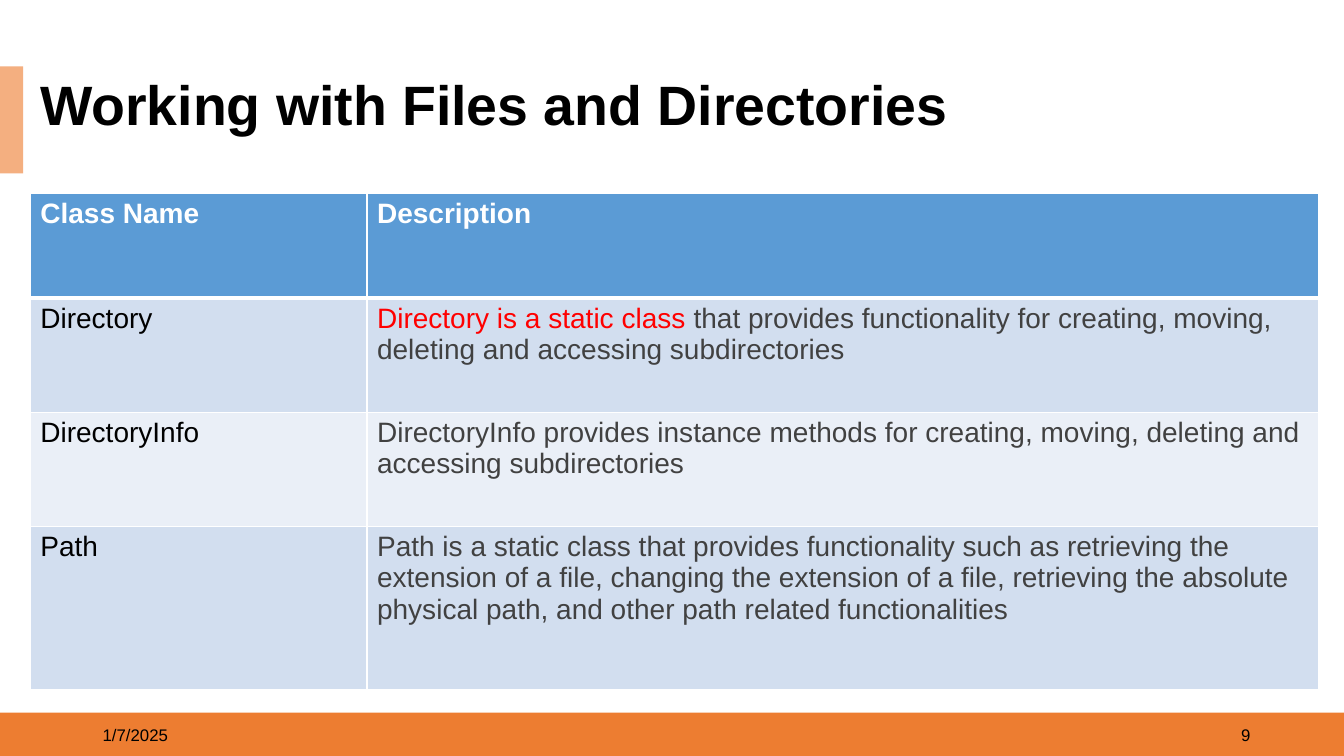
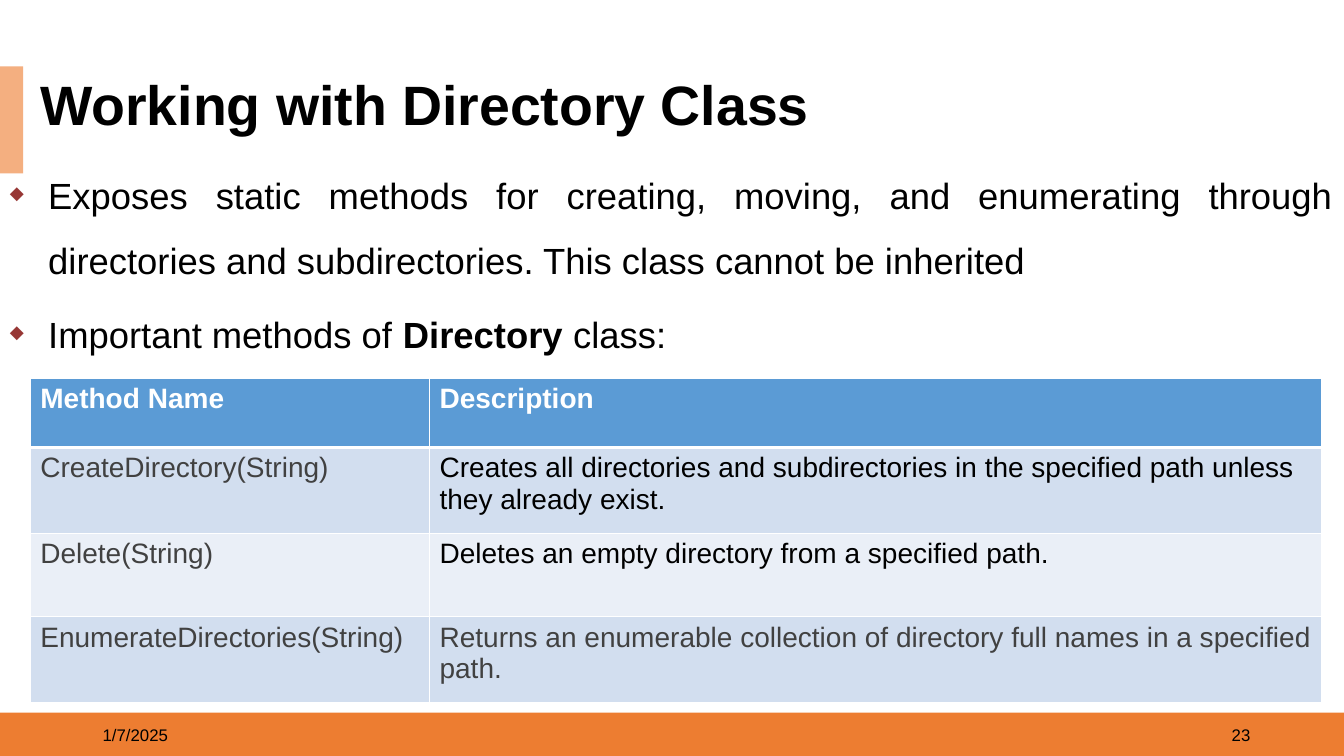
import pptx
import pptx.dml.color
import pptx.enum.shapes
import pptx.enum.text
import pptx.oxml
import pptx.oxml.ns
import pptx.util
from lxml import etree

Inches = pptx.util.Inches
Pt = pptx.util.Pt
Align = pptx.enum.text.PP_ALIGN
Anchor = pptx.enum.text.MSO_ANCHOR
AutoSize = pptx.enum.text.MSO_AUTO_SIZE

# Shared look
BLACK, WHITE, GREY, RED = "000000", "FFFFFF", "414141", "FF0000"
ORANGE, PEACH, MAROON = "ED7D31", "F4AF80", "973735"
HEADER_FILL, ROW_FILLS = "5B9BD5", ("D2DEEF", "EAEFF7")
SLIDE_WIDTH, SLIDE_HEIGHT = 13.33, 7.5
MARGIN = 0.3
DATE = "1/7/2025"

TITLE = {"size": Pt(39.6), "bold": True}
FOOTER = {"size": Pt(12)}
BODY = {"size": Pt(26)}
CELL = {"size": Pt(20), "bold": False}
HEADER = {"size": Pt(20), "bold": True}


def rgb(color):
    return pptx.dml.color.RGBColor.from_string(color)


def paint(part, color):
    part.fill.solid()
    part.fill.fore_color.rgb = rgb(color)


def set_values(target, values):
    for name, value in values.items():
        setattr(target, name, value)


def add_runs(paragraph, runs, style):
    """Each run is (text, colour) or (text, colour, extra font values)."""
    for text, color, *extra in runs:
        run = paragraph.add_run()
        run.text = text
        set_values(run.font, {"name": "Arial", **style, **(extra[0] if extra else {})})
        run.font.color.rgb = rgb(color)


def add_band(slide, left, top, width, height, color):
    band = slide.shapes.add_shape(
        pptx.enum.shapes.MSO_SHAPE.RECTANGLE,
        Inches(left), Inches(top), Inches(width), Inches(height))
    band.shadow.inherit = False
    paint(band, color)
    band.line.fill.background()


def add_text(slide, left, top, width, height, **frame_values):
    box = slide.shapes.add_textbox(
        Inches(left), Inches(top), Inches(width), Inches(height))
    set_values(box.text_frame, {"word_wrap": True, **frame_values})
    return box.text_frame


def add_line(slide, place, text, style, **paragraph_values):
    frame = add_text(slide, *place, vertical_anchor=Anchor.MIDDLE)
    paragraph = frame.paragraphs[0]
    set_values(paragraph, paragraph_values)
    add_runs(paragraph, [(text, BLACK)], style)


# Bands, title and footer of every slide
def add_base(deck, title, number):
    slide = deck.slides.add_slide(deck.slide_layouts[6])
    add_band(slide, 0, 7.07, SLIDE_WIDTH, 0.44, ORANGE)
    add_band(slide, 0, 0.66, 0.23, 1.06, PEACH)
    add_line(slide, (MARGIN, 0.75, 9.72, 0.63), title, TITLE, line_spacing=0.9)
    add_line(slide, (0.92, 7.09, 3, 0.4), DATE, FOOTER)
    add_line(slide, (9.5, 7.09, 3, 0.4), number, FOOTER, alignment=Align.RIGHT)
    return slide


# Bulleted text
def add_bullet(paragraph):
    properties = paragraph._p.get_or_add_pPr()
    properties.set("marL", str(Inches(0.38)))
    properties.set("indent", str(-Inches(0.38)))
    namespace = pptx.oxml.ns.nsdecls("a")
    for xml in (
        f'<a:buClr {namespace}><a:srgbClr val="{MAROON}"/></a:buClr>',
        f'<a:buSzPct {namespace} val="50000"/>',
        f'<a:buChar {namespace} char="◆"/>',
        f'<a:tabLst {namespace}><a:tab pos="{Inches(0.26)}" algn="l"/></a:tabLst>',
    ):
        properties.append(pptx.oxml.parse_xml(xml))


def add_bullets(slide, place, points):
    frame = add_text(slide, *place, auto_size=AutoSize.SHAPE_TO_FIT_TEXT)
    for index, runs in enumerate(points):
        paragraph = frame.add_paragraph() if index else frame.paragraphs[0]
        add_bullet(paragraph)
        set_values(paragraph, {"alignment": Align.JUSTIFY, "line_spacing": 1.5,
                               "space_after": Pt(3)})
        if index:
            paragraph.space_before = Pt(3)
        add_runs(paragraph, runs, BODY)


# Tables
def add_borders(cell, widths):
    properties = cell._tc.get_or_add_tcPr()
    for side, width in widths.items():
        border = etree.SubElement(
            properties, pptx.oxml.ns.qn(f"a:ln{side}"), w=str(Pt(width)))
        fill = etree.SubElement(border, pptx.oxml.ns.qn("a:solidFill"))
        etree.SubElement(fill, pptx.oxml.ns.qn("a:srgbClr"), val=WHITE)


def add_grid(slide, top, widths, heights, headings, rows):
    grid = slide.shapes.add_table(
        len(heights), len(widths), Inches(MARGIN), Inches(top),
        Inches(sum(widths)), Inches(sum(heights))).table
    for column, width in zip(grid.columns, widths):
        column.width = Inches(width)
    for row, height in zip(grid.rows, heights):
        row.height = Inches(height)

    header = [[(heading, WHITE)] for heading in headings]
    for row_index, cells in enumerate([header, *rows]):
        is_header = row_index == 0
        color = HEADER_FILL if is_header else ROW_FILLS[(row_index - 1) % 2]
        borders = {"L": 1, "R": 1, "T": 3 if row_index == 1 else 1,
                   "B": 3 if is_header else 1}
        for column_index, runs in enumerate(cells):
            cell = grid.cell(row_index, column_index)
            add_borders(cell, borders)
            paint(cell, color)
            add_runs(cell.text_frame.paragraphs[0], runs,
                     HEADER if is_header else CELL)


# Slides
def add_classes_slide(deck):
    slide = add_base(deck, "Working with Files and Directories", "9")
    add_grid(
        slide, 1.92, (3.34, 9.44), (1.04, 1.13, 1.13, 1.62),
        ("Class Name", "Description"),
        [
            ([("Directory", BLACK)],
             [("Directory is a static class ", RED),
              ("that provides functionality for creating, moving, deleting "
               "and accessing subdirectories", GREY)]),
            ([("DirectoryInfo", BLACK)],
             [("DirectoryInfo provides instance methods for creating, moving, "
               "deleting and accessing subdirectories", GREY)]),
            ([("Path", BLACK)],
             [("Path is a static class that provides functionality such as "
               "retrieving the extension of a file, changing the extension of "
               "a file, retrieving the absolute physical path, and other path "
               "related functionalities", GREY)]),
        ])


def add_methods_slide(deck):
    slide = add_base(deck, "Working with Directory Class", "23")
    add_bullets(slide, (0, 1.45, SLIDE_WIDTH, 2.03), [
        [("Exposes static methods for creating, moving, and enumerating through "
          "directories and subdirectories. This class cannot be inherited", BLACK)],
        [("Important methods of ", BLACK),
         ("Directory ", BLACK, {"bold": True}),
         ("class:", BLACK)],
    ])
    add_grid(
        slide, 3.75, (3.96, 8.85), (0.69, 0.85, 0.83, 0.85),
        ("Method Name", "Description"),
        [
            ([("CreateDirectory(String)", GREY)],
             [("Creates all directories and subdirectories in the specified "
               "path unless they already exist.", BLACK)]),
            ([("Delete(String)", GREY)],
             [("Deletes an empty directory from a specified path.", BLACK)]),
            ([("EnumerateDirectories(String)", GREY)],
             [("Returns an enumerable collection of directory full names in a "
               "specified path.", GREY)]),
        ])


def main():
    deck = pptx.Presentation()
    deck.slide_width = Inches(SLIDE_WIDTH)
    deck.slide_height = Inches(SLIDE_HEIGHT)
    add_classes_slide(deck)
    add_methods_slide(deck)
    deck.save("out.pptx")


if __name__ == "__main__":
    main()
